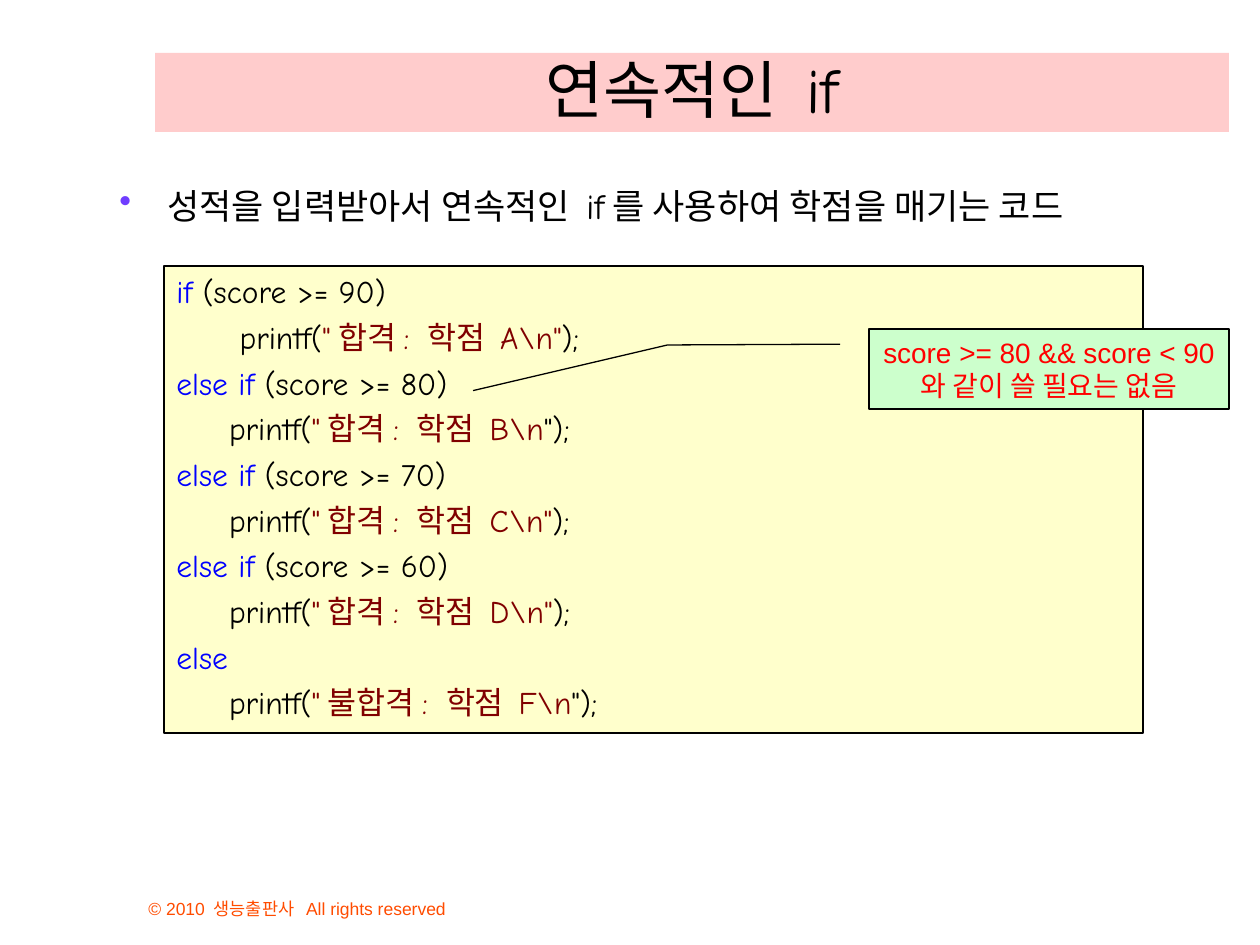
from lxml import etree
from pptx import Presentation
from pptx import util as u
from pptx.dml.color import RGBColor
from pptx.enum import shapes, text
from pptx.oxml.ns import qn

PX = 914400 / 126
BLACK, BLUE, MAROON = "000000", "0000FF", "800000"
COMIC, ARIAL = "Comic Neue", "Arial"
TOP, BOTTOM = text.MSO_ANCHOR.TOP, text.MSO_ANCHOR.BOTTOM
LEFT, CENTER = text.PP_ALIGN.LEFT, text.PP_ALIGN.CENTER


def px(n):
    return u.Emu(round(n * PX))


def rgb(value):
    return RGBColor.from_string(value)


def place(s, box):
    for name, n in zip(("left", "top", "width", "height"), box):
        setattr(s, name, px(n))


def write(s, lines, font, size, anchor=TOP, align=LEFT, gap=0):
    """Fill a shape with lines, each a list of (words, colour) runs."""
    tf = s.text_frame
    frame = {"word_wrap": True, "auto_size": text.MSO_AUTO_SIZE.NONE,
             "vertical_anchor": anchor}
    for name, value in frame.items():
        setattr(tf, name, value)
    for i, runs in enumerate(lines):
        p = tf.add_paragraph() if i else tf.paragraphs[0]
        p.alignment = align
        p.space_before = u.Pt(gap if i else 0)
        for words, colour in runs:
            r = p.add_run()
            r.text = words
            for name, value in {"name": font, "size": u.Pt(size), "bold": False}.items():
                setattr(r.font, name, value)
            r.font.color.rgb = rgb(colour)
    return tf


def hang(p, bullet=None, colour=BLACK):
    """Give a paragraph a hanging indent and, if wanted, a bullet."""
    pPr = p._p.get_or_add_pPr()
    pPr.set("marL", str(px(48)))
    pPr.set("indent", str(-px(48)))
    if bullet:
        clr = etree.SubElement(pPr, qn("a:buClr"))
        etree.SubElement(clr, qn("a:srgbClr")).set("val", colour)
        etree.SubElement(pPr, qn("a:buChar")).set("char", bullet)


def add_box(slide, kind, box, fill):
    s = slide.shapes.add_shape(kind, *map(px, box))
    s.shadow.inherit = False
    s.fill.solid()
    s.fill.fore_color.rgb = rgb(fill)
    s.line.color.rgb = rgb(BLACK)
    s.line.width = u.Pt(0.75)
    return s


def add_text(slide, box, *args, **kwargs):
    return write(slide.shapes.add_textbox(*map(px, box)), *args, **kwargs)


def printf_line(indent, words, end):
    return [(" " * indent + "printf(", BLACK), (words, MAROON), (end, BLACK)]


def code_lines():
    lines = [
        [("if", BLUE), (" (score >= 90)", BLACK)],
        printf_line(6, r'"합격: 학점 A\n"', ");"),
    ]
    for score, grade in ((80, "B"), (70, "C"), (60, "D")):
        lines.append([("else if", BLUE), (f" (score >= {score})", BLACK)])
        quote = "" if grade == "B" else '"'
        end = '");' if grade == "B" else ");"
        lines.append(printf_line(5, rf'"합격: 학점 {grade}\n' + quote, end))
    lines.append([("else", BLUE)])
    lines.append(printf_line(5, r'"불합격: 학점 F\n', '");'))
    return lines


def main():
    prs = Presentation()
    prs.slide_width, prs.slide_height = u.Inches(10), u.Inches(7.5)
    slide = prs.slides.add_slide(prs.slide_layouts[5])

    # Copyright line
    add_text(slide, (136, 872, 483, 53),
             [[("© 2010 생능출판사  All rights reserved", "FF4C00")]],
             ARIAL, 10, anchor=BOTTOM)

    # Title
    title = slide.shapes.title
    place(title, (155, 53, 1074, 79))
    title.fill.solid()
    title.fill.fore_color.rgb = rgb("FFCCCC")
    write(title, [[("연속적인 if", BLACK)]], COMIC, 36, anchor=BOTTOM, align=CENTER)

    # Code panel
    panel = add_box(slide, shapes.MSO_SHAPE.RECTANGLE, (164, 266, 979, 467), "FFFFCC")
    for p in write(panel, code_lines(), COMIC, 18, gap=4.5).paragraphs:
        hang(p)

    # Callout pointing at the second condition
    callout = add_box(slide, shapes.MSO_SHAPE.LINE_CALLOUT_2, (869, 329, 360, 80), "CCFFCC")
    for i, value in enumerate((0.19, -0.08, 0.2, -0.56, 0.77, -1.1)):
        callout.adjustments[i] = value
    write(callout, [[("score >= 80 && score < 90", "FF0000")],
                    [("와 같이 쓸 필요는 없음", "FF0000")]],
          ARIAL, 16, align=CENTER)

    # Bullet above the code
    tf = add_text(slide, (107, 178, 1131, 572),
                  [[("성적을 입력받아서 연속적인 if를 사용하여 학점을 매기는 코드", BLACK)]],
                  COMIC, 20)
    hang(tf.paragraphs[0], "•", "703DFF")

    prs.save("out.pptx")


if __name__ == "__main__":
    main()
